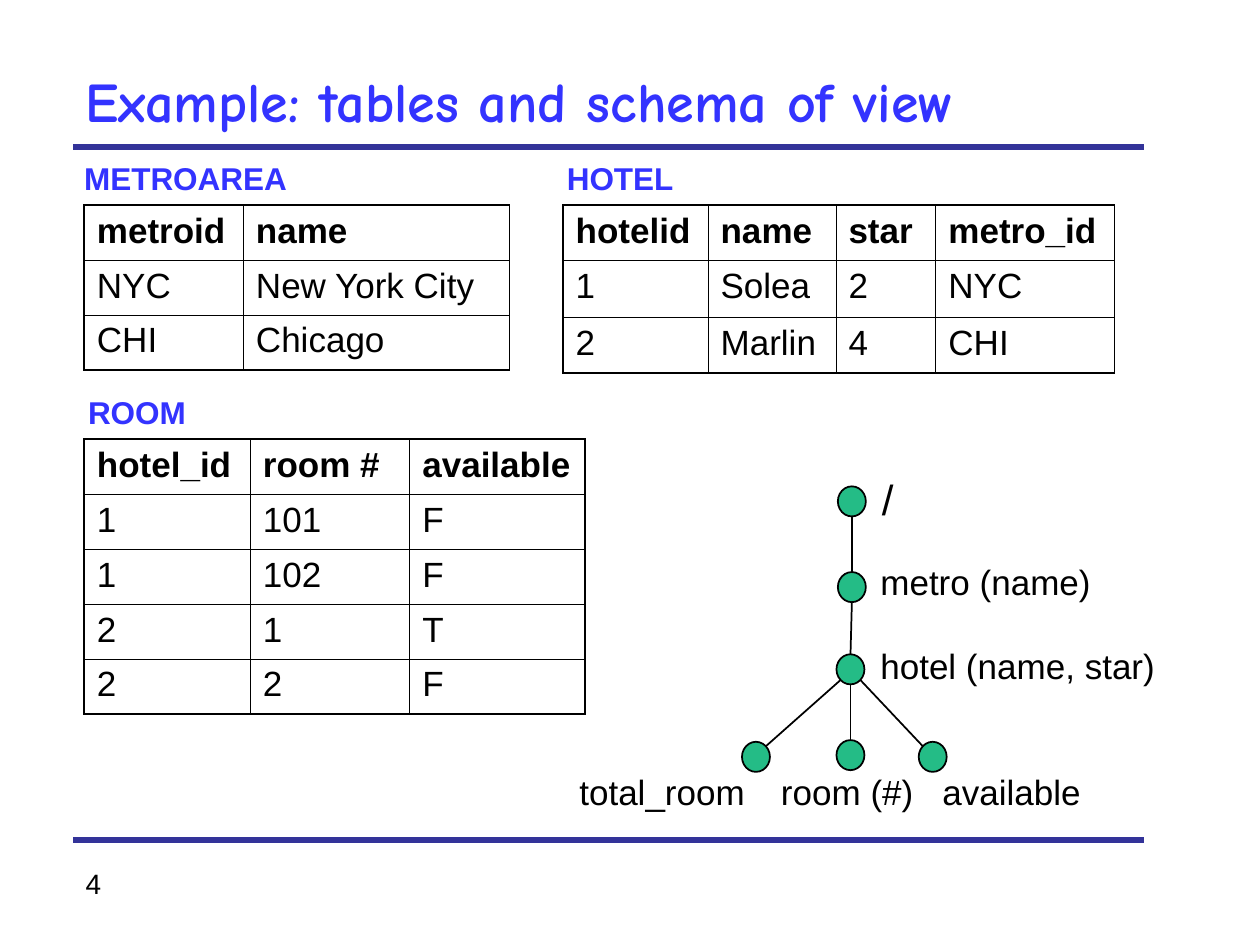
"""Build a slide showing three hotel tables and the schema tree of a view."""
from math import copysign, sqrt
from typing import NamedTuple

from lxml.etree import SubElement
from pptx import Presentation
from pptx.dml.color import RGBColor
from pptx.enum.shapes import MSO_CONNECTOR as CONN, MSO_SHAPE as SHAPE
from pptx.enum.text import MSO_ANCHOR as ANCHOR
from pptx.oxml.ns import qn
from pptx.util import Pt

BLACK = RGBColor(0x00, 0x00, 0x00)
BLUE = RGBColor(0x33, 0x33, 0xFF)
NAVY = RGBColor(0x33, 0x33, 0x99)
GREEN = RGBColor(0x24, 0xBC, 0x86)
NODE_W, NODE_H = 16, 17.2
OUTER, INNER = 1.08, 0.45
ROW = 31.4


class Box(NamedTuple):
    x: float
    y: float
    w: float
    h: float


class Relation(NamedTuple):
    name: str
    label: Box
    x: float
    y: float
    cols: tuple
    heights: tuple
    rows: tuple


class Node(NamedTuple):
    x: float
    y: float
    parent: str
    label: Box
    size: float = 20
    spacing: float = 0.5


RELATIONS = (
    Relation("HOTEL", Box(316.8, 87.2, 75.6, 28.8), 321.8, 117.2,
             (82.8, 73.1, 57.1, 102.2), (ROW, 33, ROW),
             (("hotelid", "name", "star", "metro_id"),
              ("1", "Solea", "2", "NYC"), ("2", "Marlin", "4", "CHI"))),
    Relation("METROAREA", Box(41, 87.2, 130.3, 28.8), 48.2, 117.2,
             (90.9, 152), (ROW,) * 3,
             (("metroid", "name"), ("NYC", "New York City"),
              ("CHI", "Chicago"))),
    Relation("ROOM", Box(43.2, 221.2, 70.6, 28.8), 48.2, 251,
             (94.9, 91.1, 100), (ROW,) * 5,
             (("hotel_id", "room #", "available"), ("1", "101", "F"),
              ("1", "102", "F"), ("2", "1", "T"), ("2", "2", "F"))),
)

NODES = {
    "/": Node(486.8, 286.5, "", Box(496.8, 267.2, 25.2, 36), 24, 1),
    "metro (name)": Node(486.8, 335.5, "/", Box(496, 326.9, 136.8, 19.4)),
    "hotel (name, star)": Node(486, 382.5, "metro (name)",
                               Box(496, 375.1, 172, 19.4)),
    "room (#)": Node(486, 431.5, "hotel (name, star)",
                     Box(439.2, 447.1, 90.7, 19.4)),
    "total_room": Node(432, 432.5, "hotel (name, star)",
                       Box(324, 447.1, 125.3, 19.4)),
    "available": Node(533, 432.5, "hotel (name, star)",
                      Box(531.4, 447.1, 113.8, 19.4)),
}


def write(tf, text: str, size: float = 20, color: RGBColor = BLACK,
          bold: bool = False, font: str = "Arial", spacing: float = 1):
    p = tf.paragraphs[0]
    p.line_spacing = spacing
    r = p.add_run()
    r.text = text
    r.font.size, r.font.bold, r.font.name = Pt(size), bold, font
    r.font.color.rgb = color
    return r


def add_text(s, box: Box, text: str, wrap: bool = True,
             anchor=ANCHOR.TOP, **fmt):
    tf = s.shapes.add_textbox(*map(Pt, box)).text_frame
    tf.word_wrap, tf.vertical_anchor = wrap, anchor
    return write(tf, text, **fmt)


def add_text_shadow(r) -> None:
    fill = r._r.rPr.find(qn("a:solidFill"))
    effects = SubElement(r._r.rPr, qn("a:effectLst"))
    fill.addnext(effects)
    shadow = SubElement(effects, qn("a:outerShdw"), dist="17960", dir="2700000")
    SubElement(shadow, qn("a:srgbClr"), val="808080")


def add_line(s, x1: float, y1: float, x2: float, y2: float,
             color: RGBColor = BLACK, width: float = 1) -> None:
    sp = s.shapes.add_connector(CONN.STRAIGHT, Pt(x1), Pt(y1), Pt(x2), Pt(y2))
    sp.line.color.rgb, sp.line.width = color, Pt(width)
    SubElement(sp._element.spPr, qn("a:effectLst"))


def set_borders(cell, **widths: float) -> None:
    tc_pr = cell._tc.get_or_add_tcPr()
    for side, width in widths.items():
        ln = SubElement(tc_pr, qn(f"a:ln{side}"), w=str(Pt(width)))
        fill = SubElement(ln, qn("a:solidFill"))
        SubElement(fill, qn("a:srgbClr"), val=str(BLACK))


def add_relation(s, rel: Relation) -> None:
    add_text(s, rel.label, rel.name, wrap=False, size=18, color=BLUE, bold=True)
    n_rows, n_cols = len(rel.rows), len(rel.cols)
    table = s.shapes.add_table(n_rows, n_cols, Pt(rel.x), Pt(rel.y),
                               Pt(sum(rel.cols)), Pt(sum(rel.heights))).table
    table.first_row = table.horz_banding = False
    for col, width in zip(table.columns, rel.cols):
        col.width = Pt(width)
    for i, values in enumerate(rel.rows):
        table.rows[i].height = Pt(rel.heights[i])
        for j, value in enumerate(values):
            cell = table.cell(i, j)
            set_borders(cell,
                        L=OUTER if j == 0 else INNER,
                        R=OUTER if j == n_cols - 1 else INNER,
                        T=OUTER if i == 0 else INNER,
                        B=OUTER if i == n_rows - 1 else INNER)
            cell.fill.background()
            write(cell.text_frame, value, bold=i == 0)


def add_edge(s, a: Node, b: Node) -> None:
    dx, dy = 0, NODE_H / 2
    if abs(b.x - a.x) > NODE_W:
        dx = copysign(NODE_W / 2 / sqrt(2), b.x - a.x)
        dy /= sqrt(2)
    add_line(s, a.x + dx, a.y + dy, b.x - dx, b.y - dy)


def add_node(s, name: str, node: Node) -> None:
    sp = s.shapes.add_shape(SHAPE.OVAL, Pt(node.x - NODE_W / 2),
                            Pt(node.y - NODE_H / 2), Pt(NODE_W), Pt(NODE_H))
    sp.shadow.inherit = False
    sp.fill.solid()
    sp.fill.fore_color.rgb = GREEN
    sp.line.color.rgb, sp.line.width = BLACK, Pt(1)
    add_text(s, node.label, name, size=node.size, spacing=node.spacing)
    if node.parent:
        add_edge(s, NODES[node.parent], node)


def main() -> None:
    prs = Presentation()
    prs.slide_width, prs.slide_height = Pt(720), Pt(540)
    s = prs.slides.add_slide(prs.slide_layouts[6])
    add_text(s, Box(41.8, 491.8, 175, 26.6), "4", size=16)
    for y in (84.2, 480.2):
        add_line(s, 41.8, y, 653.8, y, NAVY, 3.25)
    title = add_text(s, Box(41.8, 36, 605.5, 48.2),
                     "Example: tables and schema of view",
                     anchor=ANCHOR.MIDDLE, size=32, color=BLUE, bold=True,
                     font="Comic Neue", spacing=0.85)
    add_text_shadow(title)
    for rel in RELATIONS:
        add_relation(s, rel)
    for name, node in NODES.items():
        add_node(s, name, node)
    prs.save("out.pptx")


if __name__ == "__main__":
    main()
